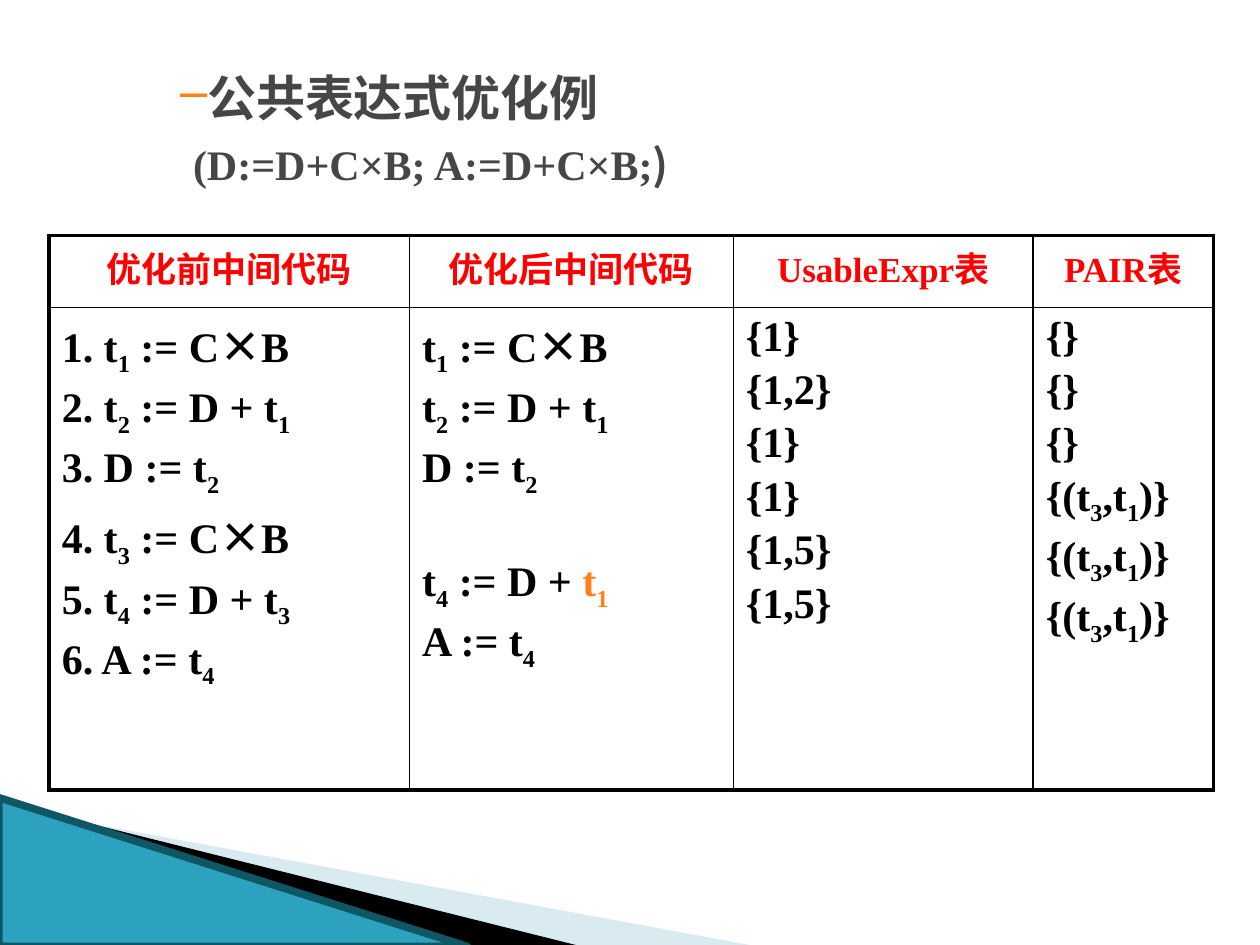
import pptx
import pptx.util
import pptx.dml.color
import pptx.enum.shapes
import pptx.enum.text
import pptx.oxml
import pptx.oxml.ns
from lxml import etree

Pt = pptx.util.Pt
RGB = pptx.dml.color.RGBColor.from_string
qn = pptx.oxml.ns.qn
CENTER = pptx.enum.text.PP_ALIGN.CENTER
SHAPES = pptx.enum.shapes.MSO_SHAPE

COLORS = {"title": "464646", "accent": "FF8119", "header": "FF0000", "text": "000000",
          "pale": "A0CBDC", "edge": "97C5D8", "teal": "2DA2BF", "rim": "105766"}
HEADING, LATIN, CJK = "Karla", "Times New Roman", "Noto Sans CJK SC"

# Content: "_" lowers the next character, "~" starts accent colour
TITLE = "公共表达式优化例"
EXAMPLE = [("(D:=D+C×B; A:=D+C×B;", LATIN), (")", CJK)]
HEADERS = [("优化前中间代码", HEADING), ("优化后中间代码", HEADING),
           ("UsableExpr表", LATIN), ("PAIR表", LATIN)]
COLUMNS = [
    ["1. t_1 := C×B", "2. t_2 := D + t_1", "3. D := t_2",
     "4. t_3 := C×B", "5. t_4 := D + t_3", "6. A := t_4"],
    ["t_1 := C×B", "t_2 := D + t_1", "D := t_2", "t_4 := D + ~t_1", "A := t_4"],
    ["{1}", "{1,2}", "{1}", "{1}", "{1,5}", "{1,5}"],
    ["{}", "{}", "{}"] + ["{(t_3,t_1)}"] * 3,
]
REMOVED_LINE = (1, 3)  # column and line that follow the dropped statement

# Layout in points
TABLE_LEFT, TABLE_TOP = 28.08, 134.64
WIDTHS = [205.92, 185.04, 171.36, 102.96]
HEIGHTS = [41.04, 275.76]
OUTER, INNER = 2.25, 1
GAP, SKIP = 4, 35
WEDGES = [([(39.6, 468.4), (428.4, 540), (328.3, 540)], "pale", 40),
          ([(38.2, 467.3), (329, 540), (267.8, 540)], "text", 100)]
CORNER = (-0.7, 455.8, 267.8, 85)


def add_span(para, text, size, color, font, lowered=False):
    span = para.add_run()
    span.text = text
    formats = {"size": Pt(size), "bold": True, "name": font}
    for name, value in formats.items():
        setattr(span.font, name, value)
    span.font.color.rgb = RGB(COLORS[color])
    props = span.font._element
    etree.SubElement(props, qn("a:ea")).set("typeface", CJK)
    if lowered:
        props.set("baseline", "-25000")


def add_code(para, line):
    """Split a marked line into runs of equal format."""
    pieces, color, lowered = [], "text", False
    for mark in line:
        if mark == "_":
            lowered = True
        elif mark == "~":
            color = "accent"
        else:
            style = (color, CJK if mark == "×" else LATIN, lowered)
            if pieces and pieces[-1][1] == style:
                pieces[-1][0] += mark
            else:
                pieces.append([mark, style])
            lowered = False
    for text, style in pieces:
        add_span(para, text, 24, *style)


def set_borders(cell, widths):
    props = cell._tc.get_or_add_tcPr()
    for side, width in zip("LRTB", widths):
        line = etree.SubElement(props, qn(f"a:ln{side}"), w=str(int(Pt(width))))
        fill = etree.SubElement(line, qn("a:solidFill"))
        etree.SubElement(fill, qn("a:srgbClr"), val=COLORS["text"])
    cell.fill.background()


def add_corner(page):
    for points, color, opacity in WEDGES:
        builder = page.shapes.build_freeform(*map(Pt, points[0]))
        builder.add_line_segments([(Pt(x), Pt(y)) for x, y in points[1:]], close=True)
        wedge = builder.convert_to_shape()
        wedge.shadow.inherit = False
        wedge.fill.solid()
        wedge.fill.fore_color.rgb = RGB(COLORS[color])
        wedge.line.fill.background()
        if opacity < 100:
            tint = wedge._element.spPr.find(".//" + qn("a:srgbClr"))
            etree.SubElement(tint, qn("a:alpha"), val=str(opacity * 1000))

    left, top, width, height = CORNER
    edge = page.shapes.add_connector(pptx.enum.shapes.MSO_CONNECTOR.STRAIGHT, Pt(left), Pt(top),
                                     Pt(left + width), Pt(top + height))
    edge.line.color.rgb = RGB(COLORS["edge"])
    edge.line.width = Pt(0.95)
    etree.SubElement(edge._element.spPr, qn("a:effectLst"))

    triangle = page.shapes.add_shape(SHAPES.RIGHT_TRIANGLE, *map(Pt, CORNER))
    triangle.shadow.inherit = False
    triangle.fill.solid()
    triangle.fill.fore_color.rgb = RGB(COLORS["teal"])
    triangle.line.color.rgb = RGB(COLORS["rim"])
    triangle.line.width = Pt(4.33)


def add_title(page):
    box = page.shapes.add_textbox(Pt(59.8), Pt(31.7), Pt(630), Pt(87.8))
    frame = box.text_frame
    frame.word_wrap = True
    heading, example = frame.paragraphs[0], frame.add_paragraph()
    for para, margin in ((heading, 36), (example, 43.4)):
        props = para._p.get_or_add_pPr()
        props.set("marL", str(int(Pt(margin))))
        props.set("indent", "0")
        para.line_spacing = 1.1
    example.space_before = Pt(GAP)
    bullet_color = etree.SubElement(heading._p.pPr, qn("a:buClr"))
    etree.SubElement(bullet_color, qn("a:srgbClr"), val=COLORS["accent"])
    etree.SubElement(heading._p.pPr, qn("a:buChar"), char="–")
    add_span(heading, TITLE, 28, "title", HEADING)
    for text, font in EXAMPLE:
        add_span(example, text, 24, "title", font)


def add_code_table(page):
    table = page.shapes.add_table(2, len(WIDTHS), Pt(TABLE_LEFT), Pt(TABLE_TOP),
                                  Pt(sum(WIDTHS)), Pt(sum(HEIGHTS))).table
    table.first_row = table.horz_banding = False
    for row, height in zip(table.rows, HEIGHTS):
        row.height = Pt(height)
    last = len(WIDTHS) - 1
    for col, width in enumerate(WIDTHS):
        table.columns[col].width = Pt(width)
        head, body = table.cell(0, col), table.cell(1, col)
        sides = [OUTER if col == 0 else INNER, OUTER if col == last else INNER]
        set_borders(head, sides + [OUTER, INNER])
        set_borders(body, sides + [INNER, OUTER])

        para = head.text_frame.paragraphs[0]
        para.alignment = CENTER
        text, font = HEADERS[col]
        add_span(para, text, 20, "header", font)

        for index, line in enumerate(COLUMNS[col]):
            para = body.text_frame.paragraphs[0]
            if index:
                para = body.text_frame.add_paragraph()
                para.space_before = Pt(SKIP if (col, index) == REMOVED_LINE else GAP)
            add_code(para, line)


def main():
    deck = pptx.Presentation()
    deck.slide_width, deck.slide_height = Pt(720), Pt(540)
    page = deck.slides.add_slide(deck.slide_layouts[6])
    add_corner(page)
    add_title(page)
    add_code_table(page)
    deck.save("out.pptx")


if __name__ == "__main__":
    main()
